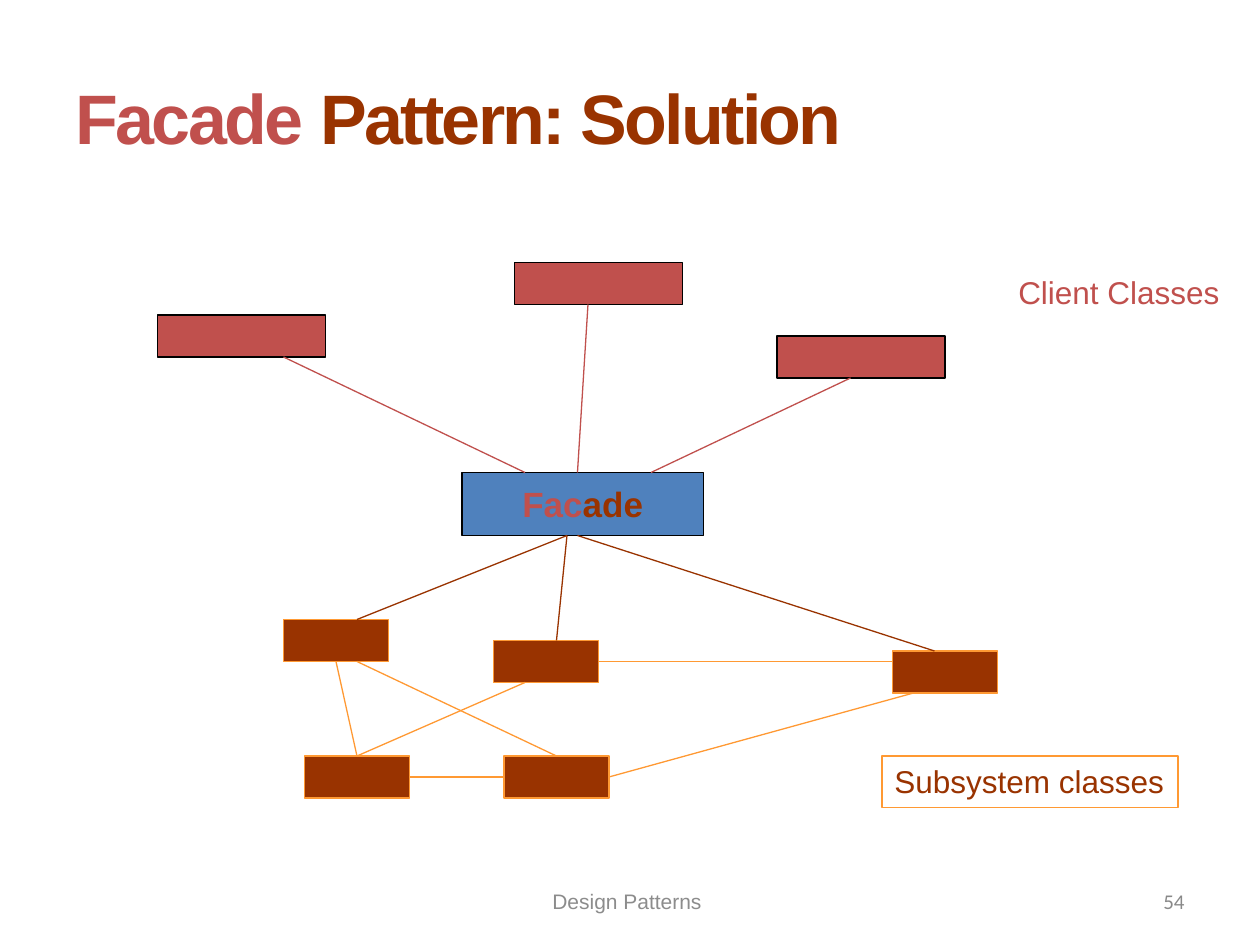
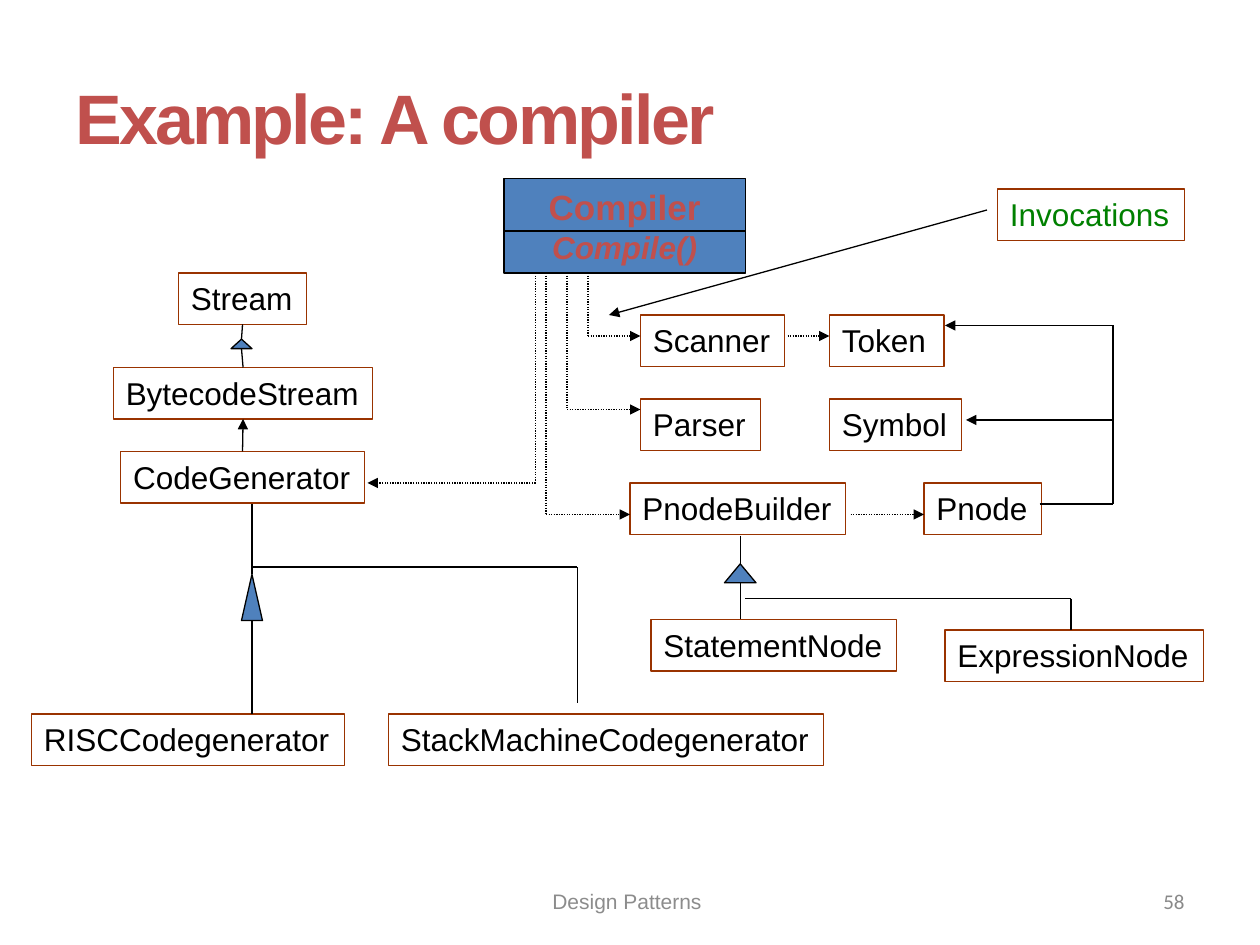
"""Build two slides on the Facade pattern: its structure and a compiler example."""
from dataclasses import dataclass

from lxml import etree
from pptx import Presentation
from pptx import util as u
from pptx.dml.color import RGBColor
from pptx.enum import dml, shapes, text
from pptx.oxml.ns import qn

PX = 7620
GLUE_REACH = 2
TITLE_ONLY = 5
COLOURS = {
    "red": "C0504D",
    "brown": "993300",
    "orange": "FF9933",
    "blue": "4F81BD",
    "green": "008000",
    "black": "000000",
    "white": "FFFFFF",
    "footer": "8C8C8C",
    "number": "898989",
}


@dataclass(frozen=True)
class Run:
    words: str
    colour: str = "black"


@dataclass(frozen=True)
class Line:
    runs: tuple[Run, ...]
    size: int = 18
    bold: bool = False
    italic: bool = False
    align: text.PP_ALIGN = text.PP_ALIGN.LEFT
    face: str = "Arial"


@dataclass(frozen=True)
class Box:
    left: int
    top: int
    width: int
    height: int
    fill: str | None = None
    outline: str | None = "black"
    lines: tuple[Line, ...] = ()
    kind: shapes.MSO_SHAPE = shapes.MSO_SHAPE.RECTANGLE
    fits_text: bool = False

    def side_middles(self) -> list[tuple[float, float]]:
        middle_x = self.left + self.width / 2
        middle_y = self.top + self.height / 2
        return [
            (middle_x, self.top),
            (self.left, middle_y),
            (middle_x, self.top + self.height),
            (self.left + self.width, middle_y),
        ]


@dataclass(frozen=True)
class Link:
    points: tuple[tuple[int, int], ...]
    colour: str = "black"
    arrow: bool = False
    dotted: bool = False


def label(words: str, left: int, top: int, width: int, colour: str = "black",
          outline: str | None = "brown", fill: str | None = None) -> Box:
    return Box(left, top, width, 49, fill, outline,
               (Line((Run(words, colour),)),), fits_text=True)


def triangle(left: int, top: int, width: int, height: int) -> Box:
    return Box(left, top, width, height, "blue",
               kind=shapes.MSO_SHAPE.ISOSCELES_TRIANGLE)


def heading(*runs: Run, size: int = 20, italic: bool = False) -> Line:
    return Line(runs, size, True, italic, text.PP_ALIGN.CENTER)


def rgb(name: str) -> RGBColor:
    return RGBColor.from_string(COLOURS[name])


def write(frame, lines: tuple[Line, ...], spacing: int | None = None) -> None:
    for index, line in enumerate(lines):
        paragraph = frame.add_paragraph() if index else frame.paragraphs[0]
        paragraph.alignment = line.align
        paragraph.font.name = line.face
        paragraph.font.size = u.Pt(line.size)
        paragraph.font.bold = line.bold
        paragraph.font.italic = line.italic
        for part in line.runs:
            run = paragraph.add_run()
            run.text = part.words
            run.font.color.rgb = rgb(part.colour)
            if spacing is not None:
                run._r.get_or_add_rPr().set("spc", str(spacing))


def draw_box(slide, box: Box):
    place = [side * PX for side in (box.left, box.top, box.width, box.height)]
    if box.fits_text:
        shape = slide.shapes.add_textbox(*place)
    else:
        shape = slide.shapes.add_shape(box.kind, *place)
        shape.shadow.inherit = False
    if box.fill:
        shape.fill.solid()
        shape.fill.fore_color.rgb = rgb(box.fill)
    else:
        shape.fill.background()
    if box.outline:
        shape.line.color.rgb = rgb(box.outline)
        shape.line.width = u.Pt(0.75)
    else:
        shape.line.fill.background()
    if box.lines:
        frame = shape.text_frame
        frame.word_wrap = False
        if box.fits_text:
            frame.auto_size = text.MSO_AUTO_SIZE.SHAPE_TO_FIT_TEXT
        else:
            frame.vertical_anchor = text.MSO_ANCHOR.MIDDLE
        write(frame, box.lines)
    return shape


def glue(connect, point: tuple[int, int], drawn: list) -> None:
    for box, shape in drawn:
        if box.kind != shapes.MSO_SHAPE.RECTANGLE:
            continue
        for site, middle in enumerate(box.side_middles()):
            if all(abs(a - b) <= GLUE_REACH for a, b in zip(point, middle)):
                connect(shape, site)
                return


def draw_link(slide, link: Link, drawn: list) -> None:
    for start, end in zip(link.points, link.points[1:]):
        connector = slide.shapes.add_connector(
            shapes.MSO_CONNECTOR.STRAIGHT, *(value * PX for value in start + end))
        connector.line.color.rgb = rgb(link.colour)
        connector.line.width = u.Pt(0.75)
        if link.dotted:
            connector.line.dash_style = dml.MSO_LINE.ROUND_DOT
        if link.arrow and end == link.points[-1]:
            etree.SubElement(connector.line._get_or_add_ln(), qn("a:tailEnd"),
                             type="triangle")
        etree.SubElement(connector._element.spPr, qn("a:effectLst"))
        glue(connector.begin_connect, start, drawn)
        glue(connector.end_connect, end, drawn)


def add_footer(slide, left: int, width: int, line: Line) -> None:
    shape = slide.shapes.add_textbox(left * PX, 834 * PX, width * PX, 48 * PX)
    shape.text_frame.word_wrap = True
    shape.text_frame.vertical_anchor = text.MSO_ANCHOR.MIDDLE
    write(shape.text_frame, (line,))


def add_slide(presentation, title_runs: tuple[Run, ...], number: int,
              boxes: list[Box], links: list[Link]) -> None:
    slide = presentation.slides.add_slide(presentation.slide_layouts[TITLE_ONLY])
    title = slide.shapes.title
    title.left, title.top, title.width, title.height = (
        side * PX for side in (60, 36, 1080, 150))
    title.text_frame.vertical_anchor = text.MSO_ANCHOR.MIDDLE
    write(title.text_frame, (Line(title_runs, 40, True),), spacing=-150)
    add_footer(slide, 410, 380, Line((Run("Design Patterns ", "footer"),), 12,
                                     align=text.PP_ALIGN.CENTER))
    add_footer(slide, 860, 280, Line((Run(str(number), "number"),), 12,
                                     align=text.PP_ALIGN.RIGHT, face="Calibri"))
    drawn = [(box, draw_box(slide, box)) for box in boxes]
    for link in links:
        draw_link(slide, link, drawn)


def add_solution(presentation) -> None:
    clients = [Box(left, top, 160, 40, "red")
               for left, top in ((150, 300), (740, 320), (490, 250))]
    subsystem = [Box(left, top, 100, 40, "brown", "orange")
                 for left, top in ((270, 590), (290, 720), (850, 620),
                                   (470, 610), (480, 720))]
    facade = Box(440, 450, 230, 60, "blue",
                 lines=(heading(Run("Fac", "red"), Run("ade", "brown")),))
    captions = [
        label("Client Classes", 958, 254, 216, "red", None),
        label("Subsystem classes", 840, 720, 282, "brown", "orange"),
    ]
    routes = {
        "orange": [
            ((390, 740), (480, 740)),
            ((320, 630), (340, 720)),
            ((340, 720), (500, 650)),
            ((580, 740), (870, 660)),
            ((570, 630), (850, 630)),
            ((340, 630), (530, 720)),
        ],
        "red": [
            ((270, 340), (500, 450)),
            ((560, 290), (550, 450)),
            ((810, 360), (620, 450)),
        ],
        "brown": [
            ((540, 510), (340, 590)),
            ((540, 510), (530, 610)),
            ((550, 510), (890, 620)),
        ],
    }
    links = [Link(points, colour)
             for colour, group in routes.items() for points in group]
    add_slide(presentation, (Run("Facade ", "red"), Run("Pattern: Solution", "brown")),
              54, [*clients, *subsystem, facade, *captions], links)


def add_compiler(presentation) -> None:
    classes = [label(*values) for values in (
        ("StackMachineCodegenerator", 370, 680, 414),
        ("RISCCodegenerator", 30, 680, 298),
        ("Stream", 170, 260, 122),
        ("BytecodeStream", 108, 350, 247),
        ("CodeGenerator", 115, 430, 232),
        ("Scanner", 610, 300, 137),
        ("Token", 790, 300, 109),
        ("Parser", 610, 380, 114),
        ("Symbol", 790, 380, 126),
        ("PnodeBuilder", 600, 460, 205),
        ("Pnode", 880, 460, 112),
        ("ExpressionNode", 900, 600, 246),
        ("StatementNode", 620, 590, 234),
    )]
    invocations = label("Invocations", 950, 180, 178, "green", fill="white")
    compiler = Box(480, 170, 230, 90, "blue", lines=(
        heading(Run("Compiler", "red")),
        heading(Run("Compile()", "red"), size=18, italic=True),
    ))
    inheritance = [triangle(230, 547, 20, 44), triangle(220, 323, 20, 9),
                   triangle(690, 537, 30, 18)]
    plain = [
        ((480, 220), (710, 220)),
        ((240, 480), (240, 547)),
        ((240, 591), (240, 680)),
        ((240, 540), (550, 540), (550, 670)),
        ((230, 310), (230, 323)),
        ((230, 332), (230, 350)),
        ((705, 510), (705, 537)),
        ((705, 555), (705, 590)),
        ((710, 570), (1020, 570), (1020, 600)),
    ]
    arrows = [
        ((230, 430), (230, 400)),
        ((990, 480), (1060, 480), (1060, 310), (900, 310)),
        ((1060, 400), (920, 400)),
        ((940, 200), (580, 300)),
    ]
    calls = [
        ((750, 320), (790, 320)),
        ((810, 490), (880, 490)),
        *(((x, 260), (x, y), (end, y)) for x, y, end in (
            (510, 460, 350), (520, 490, 600), (540, 390, 610), (560, 320, 610))),
    ]
    links = [
        *(Link(points) for points in plain),
        *(Link(points, arrow=True) for points in arrows),
        *(Link(points, arrow=True, dotted=True) for points in calls),
    ]
    add_slide(presentation, (Run("Example: A compiler", "red"),), 58,
              [*classes, invocations, compiler, *inheritance], links)


def main() -> None:
    presentation = Presentation()
    presentation.slide_width = 1200 * PX
    presentation.slide_height = 900 * PX
    add_solution(presentation)
    add_compiler(presentation)
    presentation.save("out.pptx")


if __name__ == "__main__":
    main()
